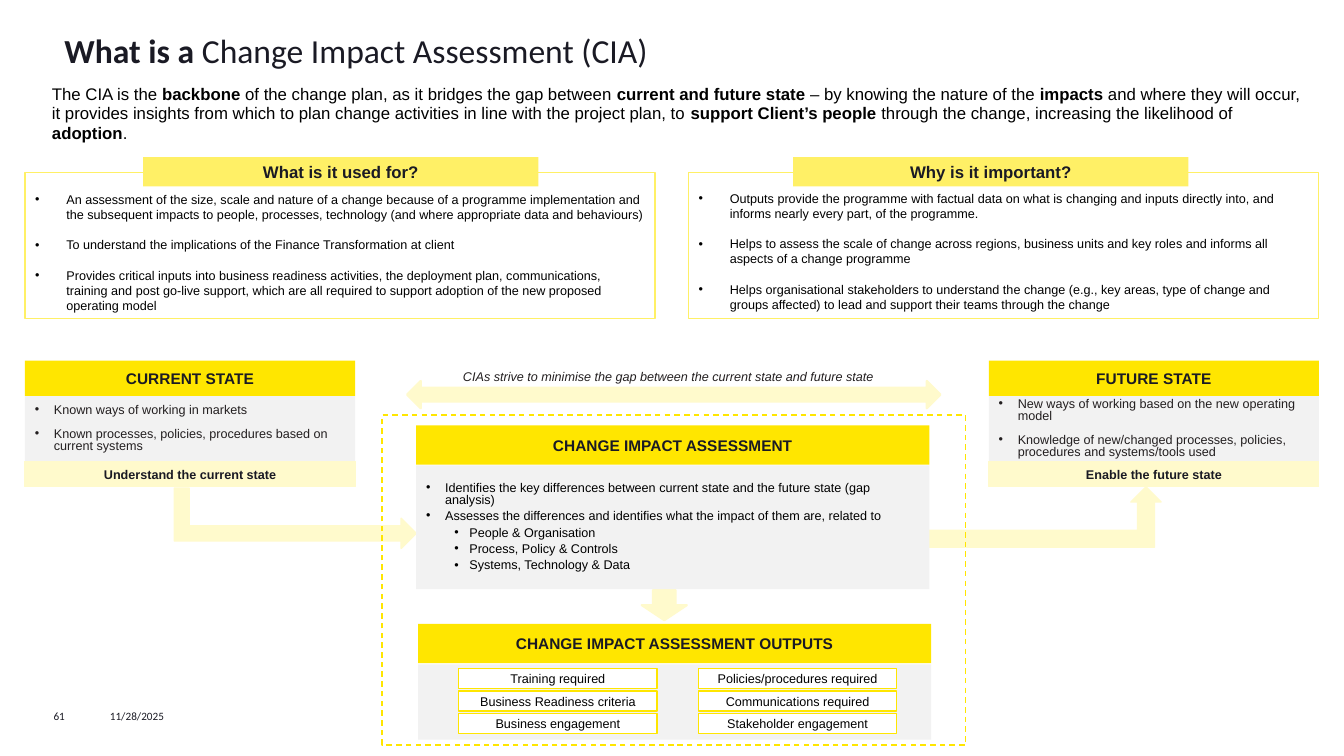
"""Build the slide that explains a Change Impact Assessment."""
import lxml.etree
import pptx
import pptx.dml.color
import pptx.enum.dml
import pptx.enum.shapes
import pptx.enum.text
import pptx.oxml.ns
import pptx.util
from pptx.util import Cm

COLOURS = {
    "yellow": "FFE600", "soft": "FFF066", "pale": "FFFACC", "grey": "F2F2F2",
    "white": "FFFFFF", "ink": "1A1A24", "black": "000000", "charcoal": "231F20",
}
SHAPES = pptx.enum.shapes.MSO_SHAPE
LEFT = pptx.enum.text.PP_ALIGN.LEFT
CENTER = pptx.enum.text.PP_ALIGN.CENTER
TOP = pptx.enum.text.MSO_ANCHOR.TOP
MIDDLE = pptx.enum.text.MSO_ANCHOR.MIDDLE


def dress(shape, box, fill=None, line=None, width=1):
    """Place a shape (box in centimetres) and set its fill and outline."""
    shape.left, shape.top, shape.width, shape.height = [Cm(length) for length in box]
    if fill:
        shape.fill.solid()
        shape.fill.fore_color.rgb = pptx.dml.color.RGBColor.from_string(COLOURS[fill])
    else:
        shape.fill.background()
    if line:
        shape.line.color.rgb = pptx.dml.color.RGBColor.from_string(COLOURS[line])
        shape.line.width = pptx.util.Pt(width)
    else:
        shape.line.fill.background()
    return shape


def write(shape, paragraphs, size, colour, font="Arial", italic=False, align=CENTER,
          anchor=MIDDLE, indents=None, levels=None, spacing=1, before=0, after=0):
    """Fill a shape with paragraphs, each a list of (text, bold) runs."""
    frame = shape.text_frame
    frame.word_wrap = True
    frame.auto_size = pptx.enum.text.MSO_AUTO_SIZE.NONE
    frame.vertical_anchor = anchor
    for index, runs in enumerate(paragraphs):
        paragraph = frame.add_paragraph() if index else frame.paragraphs[0]
        paragraph.level = levels[index] if levels else 0
        paragraph.alignment = align
        paragraph.line_spacing = spacing
        paragraph.space_before = pptx.util.Pt(before if index else 0)
        paragraph.space_after = pptx.util.Pt(after)
        if indents:
            margin, hanging = indents[paragraph.level]
            properties = paragraph._p.get_or_add_pPr()
            properties.set("marL", str(Cm(margin)))
            properties.set("indent", str(-Cm(hanging)))
            for tag, key, value in (("a:buFont", "typeface", "Arial"), ("a:buChar", "char", "•")):
                bullet = lxml.etree.SubElement(properties, pptx.oxml.ns.qn(tag))
                bullet.set(key, value)
        for text, bold in runs:
            run = paragraph.add_run()
            run.text = text
            run.font.name = font
            run.font.size = pptx.util.Pt(size)
            run.font.bold = bold
            run.font.italic = italic
            run.font.color.rgb = pptx.dml.color.RGBColor.from_string(COLOURS[colour])


presentation = pptx.Presentation()
presentation.slide_width = Cm(33.87)
presentation.slide_height = Cm(19.05)
slide = presentation.slides.add_slide(presentation.slide_layouts.get_by_name("Comparison"))
shapes = slide.shapes
placeholders = {item.placeholder_format.idx: item for item in slide.placeholders}

title = dress(shapes.title, (1.37, 0.62, 31.12, 1.52))
write(title, [[("What is a ", True), ("Change Impact Assessment (CIA)", False)]],
      24, "ink", font="Calibri", align=LEFT, anchor=TOP)

intro = dress(shapes.add_textbox(0, 0, 0, 0), (1.06, 2.03, 32.18, 1.7))
write(intro, [[
    ("The CIA is the ", False), ("backbone", True),
    (" of the change plan, as it bridges the gap between ", False),
    ("current and future state ", True),
    ("– by knowing the nature of the ", False), ("impacts", True),
    (" and where they will occur, it provides insights from which to plan change "
     "activities in line with the project plan, to ", False),
    ("support Client’s people ", True),
    ("through the change, increasing the likelihood of ", False),
    ("adoption", True), (".", False),
]], 12, "black", align=LEFT, anchor=TOP, spacing=0.95)

questions = [
    (1, 0.63, 3.61, 0.49, "What is it used for?", [
        "An assessment of the size, scale and nature of a change because of a programme "
        "implementation and the subsequent impacts to people, processes, technology (and "
        "where appropriate data and behaviours)",
        "To understand the implications of the Finance Transformation at client",
        "Provides critical inputs into business readiness activities, the deployment plan, "
        "communications, training and post go-live support, which are all required to "
        "support adoption of the new proposed operating model"]),
    (3, 17.35, 19.99, 0.46, "Why is it important?", [
        "Outputs provide the programme with factual data on what is changing and inputs "
        "directly into, and informs nearly every part, of the programme.",
        "Helps to assess the scale of change across regions, business units and key roles "
        "and informs all aspects of a change programme",
        "Helps organisational stakeholders to understand the change (e.g., key areas, type "
        "of change and groups affected) to lead and support their teams through the change"]),
]
for number, list_left, heading_left, inset, question, answers in questions:
    heading = dress(placeholders[number], (heading_left, 3.96, 9.96, 0.74), "soft")
    write(heading, [[(question, True)]], 12, "ink")
    answer_list = dress(placeholders[number + 1], (list_left, 4.34, 15.88, 3.68), line="soft")
    answer_list.text_frame.margin_top = Cm(inset)
    write(answer_list, [[(answer, False)] for answer in answers], 9, "black", align=LEFT,
          anchor=TOP, indents=[(0.79, 0.79)], before=10.9)
    heading._element.addprevious(answer_list._element)

arrows = [
    (SHAPES.RIGHT_ARROW, (16.36, 14.68, 0.76, 1.14), 90, 1.5),
    (SHAPES.LEFT_RIGHT_ARROW, (10.26, 9.6, 13.44, 0.69), 0, 1.5),
    (SHAPES.BENT_UP_ARROW, (6.68, 10.01, 1.52, 6.1), 90, 1),
    (SHAPES.BENT_UP_ARROW, (23.42, 12.27, 5.84, 1.52), 0, 1),
]
for kind, box, rotation, width in arrows:
    arrow = dress(shapes.add_shape(kind, 0, 0, 0, 0), box, "pale", "pale", width)
    arrow.shadow.inherit = False
    arrow.rotation = rotation
arrow.adjustments[0] = 0.281

caption = dress(shapes.add_textbox(0, 0, 0, 0), (11.05, 9.17, 11.58, 0.64))
write(caption, [[("CIAs strive to minimise the gap between the current state and future state",
                  False)]], 9, "charcoal", italic=True, anchor=TOP)

states = [
    (0.63, "CURRENT STATE", "Understand the current state", [
        "Known ways of working in markets",
        "Known processes, policies, procedures based on current systems"]),
    (24.92, "FUTURE STATE", "Enable the future state", [
        "New ways of working based on the new operating model",
        "Knowledge of new/changed processes, policies, procedures and systems/tools used"]),
]
bands = []
for left, name, action, points in states:
    bands.append(((left, 9.09, 8.32, 0.89), "yellow", None, name, 11))
    bands.append(((left, 11.63, 8.32, 0.64), "pale", "pale", action, 9))
    points_box = dress(shapes.add_shape(SHAPES.RECTANGLE, 0, 0, 0, 0),
                       (left, 9.98, 8.32, 1.65), "grey")
    points_box.shadow.inherit = False
    write(points_box, [[(point, False)] for point in points], 9, "charcoal", align=LEFT,
          indents=[(0.48, 0.48)], spacing=0.8, before=8.7)
bands.append(((10.49, 10.72, 12.93, 0.99), "yellow", None, "CHANGE IMPACT ASSESSMENT", 11))
bands.append(((10.54, 15.72, 12.93, 0.99), "yellow", None,
              "CHANGE IMPACT ASSESSMENT OUTPUTS", 11))
for box, fill, line, label, size in bands:
    band = dress(shapes.add_shape(SHAPES.RECTANGLE, 0, 0, 0, 0), box, fill, line, 0.75)
    band.shadow.inherit = False
    write(band, [[(label, True)]], size, "ink")

assessment = dress(shapes.add_shape(SHAPES.RECTANGLE, 0, 0, 0, 0),
                   (10.49, 11.73, 12.93, 3.12), "grey")
assessment.shadow.inherit = False
steps = [
    "Identifies the key differences between current state and the future state (gap analysis)",
    "Assesses the differences and identifies what the impact of them are, related to",
    "People & Organisation", "Process, Policy & Controls", "Systems, Technology & Data",
]
write(assessment, [[(step, False)] for step in steps], 9, "black", align=LEFT,
      indents=[(0.48, 0.48), (1.09, 0.38)], levels=[0, 0, 1, 1, 1],
      spacing=0.8, before=1.5, after=1.5)

panel = dress(shapes.add_shape(SHAPES.RECTANGLE, 0, 0, 0, 0), (10.54, 16.74, 12.93, 1.9), "grey")
panel.shadow.inherit = False
outputs = [
    ("Training required", "Policies/procedures required"),
    ("Business Readiness criteria", "Communications required"),
    ("Business engagement", "Stakeholder engagement"),
]
for row, labels in enumerate(outputs):
    for column, label in enumerate(labels):
        output = dress(shapes.add_shape(SHAPES.RECTANGLE, 0, 0, 0, 0),
                       (11.56 + 6.04 * column, 16.84 + 0.57 * row, 5, 0.51), "white", "yellow")
        output.shadow.inherit = False
        write(output, [[(label, False)]], 9, "black")
        frame = output.text_frame
        frame.margin_left = frame.margin_right = frame.margin_top = frame.margin_bottom = Cm(0.1)
        frame.word_wrap = False

border = dress(shapes.add_shape(SHAPES.RECTANGLE, 0, 0, 0, 0),
               (9.63, 10.46, 14.71, 8.31), line="yellow")
border.shadow.inherit = False
border.line.dash_style = pptx.enum.dml.MSO_LINE.DASH

for left, width, label in ((1.35, 1.42, "61"), (2.77, 3.56, "11/28/2025")):
    footer = dress(shapes.add_textbox(0, 0, 0, 0), (left, 17.88, width, 0.33))
    write(footer, [[(label, False)]], 8, "ink", font="Calibri", align=LEFT, anchor=TOP)
    frame = footer.text_frame
    frame.margin_left = frame.margin_right = frame.margin_top = frame.margin_bottom = 0

presentation.save("out.pptx")
